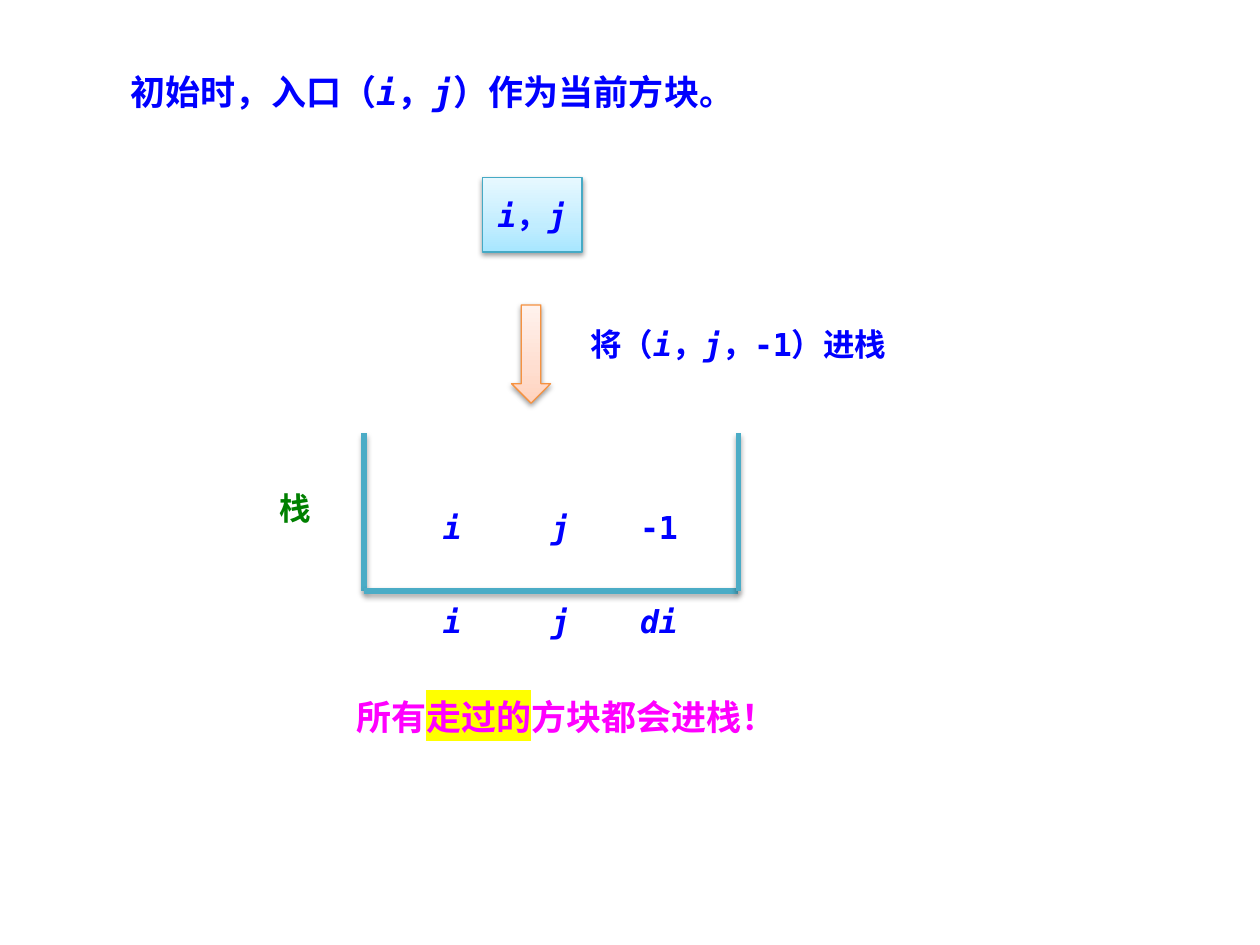
"""Build a slide showing the entry block of a maze being pushed onto a stack."""
import lxml.etree
import pptx
import pptx.dml.color
import pptx.enum.shapes
import pptx.enum.text
import pptx.oxml.ns
import pptx.util

Inches = pptx.util.Inches
Pt = pptx.util.Pt
ALIGN = pptx.enum.text.PP_ALIGN
SHAPES = pptx.enum.shapes.MSO_SHAPE
FONT = "DejaVu Sans Mono"
COLORS = {
    "blue": "0000FF",
    "green": "008000",
    "magenta": "FF00FF",
    "yellow": "FFFF00",
    "stack": "4BACC6",
    "block_line": "46AAC5",
    "arrow_line": "F69240",
    "shadow": "000000",
}
GRADIENTS = {
    "block": ["A7E6FF", "C1EDFF", "E7F8FF"],
    "arrow": ["FFD2BD", "FFDED0", "FFF2ED"],
}
GRADIENT_POSITIONS = [0, 35, 100]


def rgb(name):
    """Return the named colour."""
    return pptx.dml.color.RGBColor.from_string(COLORS[name])


def add_child(parent, tag, **attributes):
    """Append a DrawingML element to a parent and return it."""
    child = lxml.etree.SubElement(parent, pptx.oxml.ns.qn(tag))
    for name, value in attributes.items():
        child.set(name, str(value))
    return child


def add_shadow(shape, opacity, distance):
    """Give a shape a soft shadow that falls straight down."""
    effects = add_child(shape._element.spPr, "a:effectLst")
    shadow = add_child(effects, "a:outerShdw", blurRad=Pt(3.1), dist=Pt(distance),
                       dir=90 * 60000, rotWithShape=0)
    color = add_child(shadow, "a:srgbClr", val=COLORS["shadow"])
    add_child(color, "a:alpha", val=opacity * 1000)


def fill_gradient(shape, colors):
    """Fill a shape with a gradient that runs from bottom to top."""
    shape.fill.gradient()
    shape.fill.gradient_angle = 90
    stops = shape._element.spPr.find(".//" + pptx.oxml.ns.qn("a:gsLst"))
    for stop in list(stops):
        stops.remove(stop)
    for position, color in zip(GRADIENT_POSITIONS, colors):
        stop = add_child(stops, "a:gs", pos=position * 1000)
        add_child(stop, "a:srgbClr", val=color)


def highlight(run, color):
    """Mark a run with a background colour."""
    properties = run.font._element
    marker = add_child(properties, "a:highlight")
    add_child(marker, "a:srgbClr", val=COLORS[color])
    properties.find(pptx.oxml.ns.qn("a:latin")).addprevious(marker)


def write_text(shape, text, size=18, color="blue", align=ALIGN.CENTER, wrap=True, marked=None):
    """Write text, with *asterisks* around italics and a marked part highlighted."""
    frame = shape.text_frame
    frame.word_wrap = wrap
    paragraph = frame.paragraphs[0]
    paragraph.alignment = align
    if marked:
        text = text.replace(marked, f"**{marked}**")
    for index, part in enumerate(text.split("*")):
        if not part:
            continue
        run = paragraph.add_run()
        run.text = part
        run.font.size = Pt(size)
        run.font.bold = True
        run.font.italic = index % 2 == 1
        run.font.color.rgb = rgb(color)
        run.font.name = FONT
        if part == marked:
            highlight(run, color="yellow")


def add_label(slide, text, left, top, width, height=0.4, **text_format):
    """Add a text box."""
    box = slide.shapes.add_textbox(Inches(left), Inches(top), Inches(width), Inches(height))
    write_text(box, text, **text_format)


def add_figure(slide, kind, left, top, width, height, name):
    """Add a preset shape with a gradient, an outline and a shadow."""
    shape = slide.shapes.add_shape(kind, Inches(left), Inches(top), Inches(width), Inches(height))
    fill_gradient(shape, GRADIENTS[name])
    shape.line.color.rgb = rgb(name + "_line")
    shape.line.width = Pt(0.75)
    add_shadow(shape, opacity=38, distance=1.6)
    return shape


def add_stack(slide, left, top, right, bottom):
    """Draw the three walls of a stack that is open at the top."""
    corners = [(left, top), (left, bottom), (right, bottom), (right, top)]
    for start, end in zip(corners, corners[1:]):
        wall = slide.shapes.add_connector(pptx.enum.shapes.MSO_CONNECTOR.STRAIGHT,
                                          *map(Inches, start + end))
        wall.line.color.rgb = rgb("stack")
        wall.line.width = Pt(3)
        add_shadow(wall, opacity=35, distance=1.8)


def main():
    """Build and save the slide."""
    presentation = pptx.Presentation()
    presentation.slide_width = Inches(10)
    presentation.slide_height = Inches(7.5)
    slide = presentation.slides.add_slide(presentation.slide_layouts[6])

    block = add_figure(slide, SHAPES.RECTANGLE, 3.83, 1.41, 0.79, 0.59, "block")
    write_text(block, "*i*，*j*", wrap=False)

    rows = {4.73: ["*i*", "*j*", "*di*"], 3.98: ["*i*", "*j*", "-1"]}
    for top, cells in rows.items():
        for left, cell in zip([3.2, 4.06, 4.84], cells):
            add_label(slide, cell, left, top, 0.78)

    add_stack(slide, 2.89, 3.44, 5.86, 4.69)
    add_label(slide, "栈", 1.87, 3.83, 0.94, color="green")
    add_figure(slide, SHAPES.DOWN_ARROW, 4.06, 2.42, 0.31, 0.78, "arrow")
    add_label(slide, "将（*i*，*j*，-1）进栈", 4.53, 2.53, 2.66)
    add_label(slide, "初始时，入口（*i*，*j*）作为当前方块。", 0.94, 0.51, 5.78, 0.44,
              size=20, align=ALIGN.LEFT)
    add_label(slide, "所有走过的方块都会进栈！", 2.73, 5.47, 3.67, 0.44,
              size=20, color="magenta", align=ALIGN.LEFT, marked="走过的")
    presentation.save("out.pptx")


if __name__ == "__main__":
    main()
